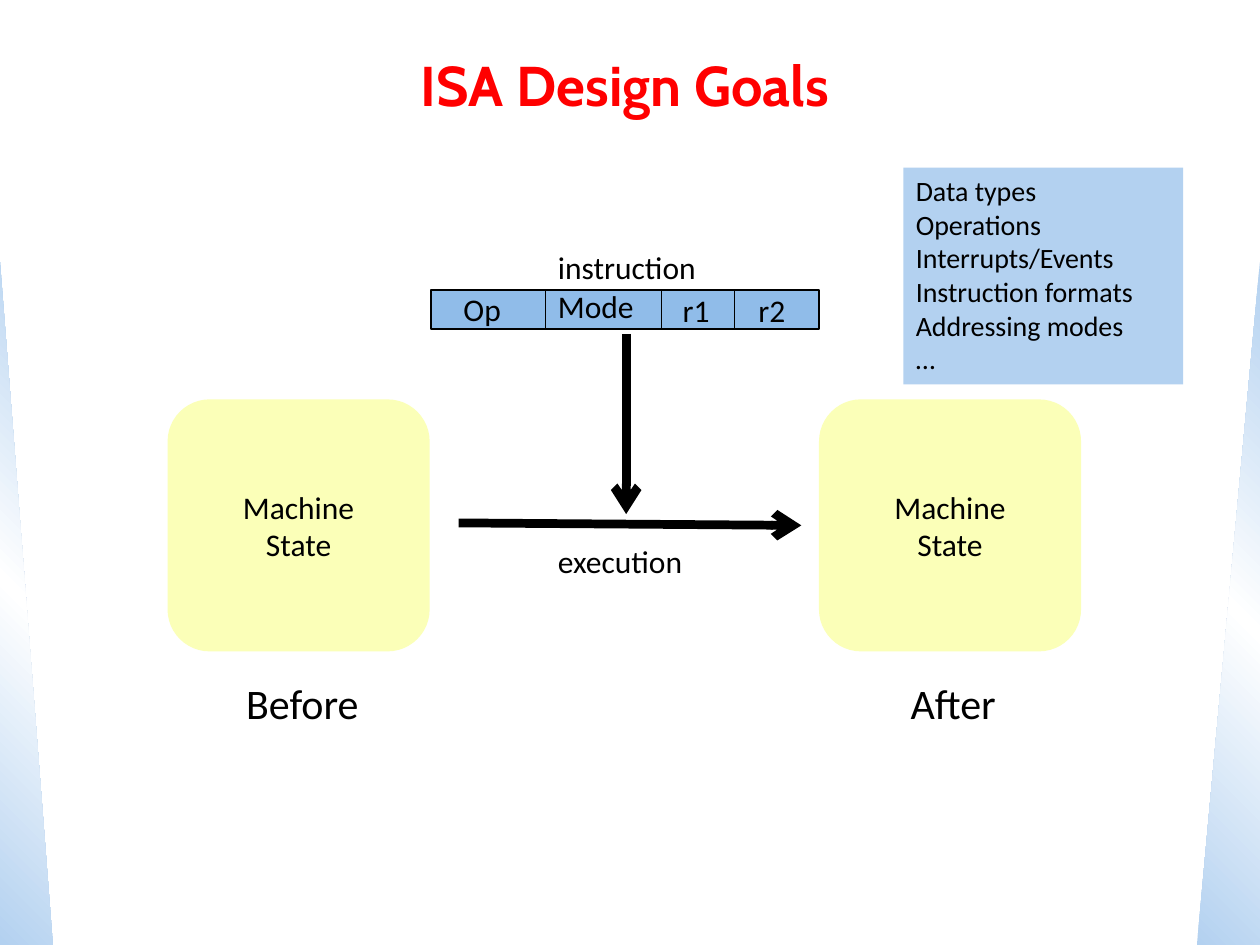
from copy import deepcopy
from dataclasses import dataclass

from pptx import Presentation
from pptx.dml.color import RGBColor
from pptx.enum.shapes import MSO_CONNECTOR, MSO_SHAPE
from pptx.enum.text import MSO_ANCHOR, MSO_AUTO_SIZE, PP_ALIGN
from pptx.oxml.ns import qn
from pptx.util import Inches, Pt
from lxml.etree import SubElement


@dataclass(frozen=True)
class Theme:
    title_font: str = "Cabin"
    body_font: str = "Calibri"
    title_size: int = 32
    caption_size: int = 24
    body_size: int = 18
    list_size: int = 16
    red: str = "FF0000"
    black: str = "000000"
    white: str = "FFFFFF"
    pale_blue: str = "B3D1F0"
    field_blue: str = "90BCE9"
    yellow: str = "FBFFB8"


class SlideBuilder:
    def __init__(self, prs, theme):
        self.theme = theme
        self.s = prs.slides.add_slide(prs.slide_layouts[5])

    def set_text(self, sp, lines, size, align=PP_ALIGN.LEFT, anchor=MSO_ANCHOR.TOP,
                 font=None, color=None, bold=False):
        tf = sp.text_frame
        tf.vertical_anchor = anchor
        tf.text = "\n".join(lines)
        for p in tf.paragraphs:
            p.alignment = align
            p.font.name = font or self.theme.body_font
            p.font.size = Pt(size)
            p.font.bold = bold
            p.font.color.rgb = RGBColor.from_string(color or self.theme.black)
        return tf

    def title(self, text, box):
        sp = self.s.shapes.title
        sp.left, sp.top, sp.width, sp.height = map(Inches, box)
        t = self.theme
        self.set_text(sp, [text], t.title_size, PP_ALIGN.CENTER, MSO_ANCHOR.MIDDLE,
                      t.title_font, t.red, True)

    def shape(self, kind, box, fill=None, line=None, parent=None):
        sp = (parent or self.s).shapes.add_shape(kind, *map(Inches, box))
        sp.shadow.inherit = False
        if fill:
            sp.fill.solid()
            sp.fill.fore_color.rgb = RGBColor.from_string(fill)
        if line:
            sp.line.color.rgb = RGBColor.from_string(line)
            sp.line.width = Pt(1)
        else:
            sp.line.fill.background()
        return sp

    def side_wedge(self, box, angle, flip=False):
        sp = self.shape(MSO_SHAPE.RIGHT_TRIANGLE, box)
        sp.fill.gradient()
        sp.fill.gradient_angle = angle
        # The default gradient has two stops; add one in the middle
        first = sp._element.spPr.find(".//" + qn("a:gs"))
        first.addnext(deepcopy(first))
        t = self.theme
        stops = zip(sp.fill.gradient_stops, (0, 0.5, 1),
                    (t.pale_blue, t.white, t.pale_blue))
        for stop, position, color in stops:
            stop.position = position
            stop.color.rgb = RGBColor.from_string(color)
        if flip:
            sp._element.spPr.find(qn("a:xfrm")).set("flipH", "1")

    def label(self, text, box, size=None, align=PP_ALIGN.LEFT, parent=None):
        sp = (parent or self.s).shapes.add_textbox(*map(Inches, box))
        tf = self.set_text(sp, [text], size or self.theme.body_size, align)
        tf.word_wrap = False
        tf.auto_size = MSO_AUTO_SIZE.SHAPE_TO_FIT_TEXT

    def line(self, start, end, width=1, arrow=False, parent=None):
        cx = (parent or self.s).shapes.add_connector(
            MSO_CONNECTOR.STRAIGHT, *map(Inches, (*start, *end)))
        cx.line.color.rgb = RGBColor.from_string(self.theme.black)
        cx.line.width = Pt(width)
        spPr = cx._element.spPr
        if arrow:
            SubElement(spPr.find(qn("a:ln")), qn("a:tailEnd"), type="arrow")
        SubElement(spPr, qn("a:effectLst"))

    def topic_list(self, lines, box):
        sp = self.shape(MSO_SHAPE.RECTANGLE, box, self.theme.pale_blue)
        tf = self.set_text(sp, lines, self.theme.list_size)
        tf.word_wrap = True
        tf.auto_size = MSO_AUTO_SIZE.SHAPE_TO_FIT_TEXT

    def machine_state(self, left, caption, caption_box):
        t = self.theme
        sp = self.shape(MSO_SHAPE.ROUNDED_RECTANGLE, (left, 3.17, 2.08, 2), t.yellow)
        self.set_text(sp, ["Machine", "State"], t.body_size,
                      PP_ALIGN.CENTER, MSO_ANCHOR.MIDDLE)
        self.label(caption, caption_box, t.caption_size, PP_ALIGN.CENTER)

    def instruction_word(self, fields, dividers):
        group = self.s.shapes.add_group_shape()
        self.shape(MSO_SHAPE.RECTANGLE, (3.42, 2.3, 3.08, 0.31),
                   self.theme.field_blue, self.theme.black, group)
        for text, left, top, width in fields:
            self.label(text, (left, top, width, 0.4), parent=group)
        for x in dividers:
            self.line((x, 2.31), (x, 2.62), parent=group)


def main():
    prs = Presentation()
    prs.slide_width, prs.slide_height = Inches(10), Inches(7.5)
    b = SlideBuilder(prs, Theme())

    # Side decoration and title
    b.side_wedge((0, 2.08, 0.42, 5.42), 45)
    b.side_wedge((9.5, 2.08, 0.5, 5.42), 315, flip=True)
    b.title("ISA Design Goals", (0.25, 0.25, 9.42, 0.83))

    # Instruction word with its fields
    b.instruction_word(
        [("Op", 3.58, 2.25, 0.52), ("Mode", 4.33, 2.23, 0.83),
         ("r1", 5.32, 2.26, 0.42), ("r2", 5.92, 2.26, 0.42)],
        (4.33, 5.25, 5.83))
    b.label("instruction", (4.33, 1.92, 1.35, 0.4))

    # Design topics
    b.topic_list(["Data types", "Operations", "Interrupts/Events",
                  "Instruction formats", "Addressing modes", "…"],
                 (7.17, 1.33, 2.22, 1.72))

    # Execution arrows
    b.line((3.64, 4.15), (6.36, 4.17), 5, arrow=True)
    b.line((4.97, 2.65), (4.97, 4.08), 5, arrow=True)
    b.label("execution", (4.33, 4.25, 1.21, 0.4))

    # Machine state before and after
    b.machine_state(1.33, "Before", (1.83, 5.33, 1.14, 0.51))
    b.machine_state(6.5, "After", (7.12, 5.33, 0.89, 0.51))

    prs.save("out.pptx")


if __name__ == "__main__":
    main()
